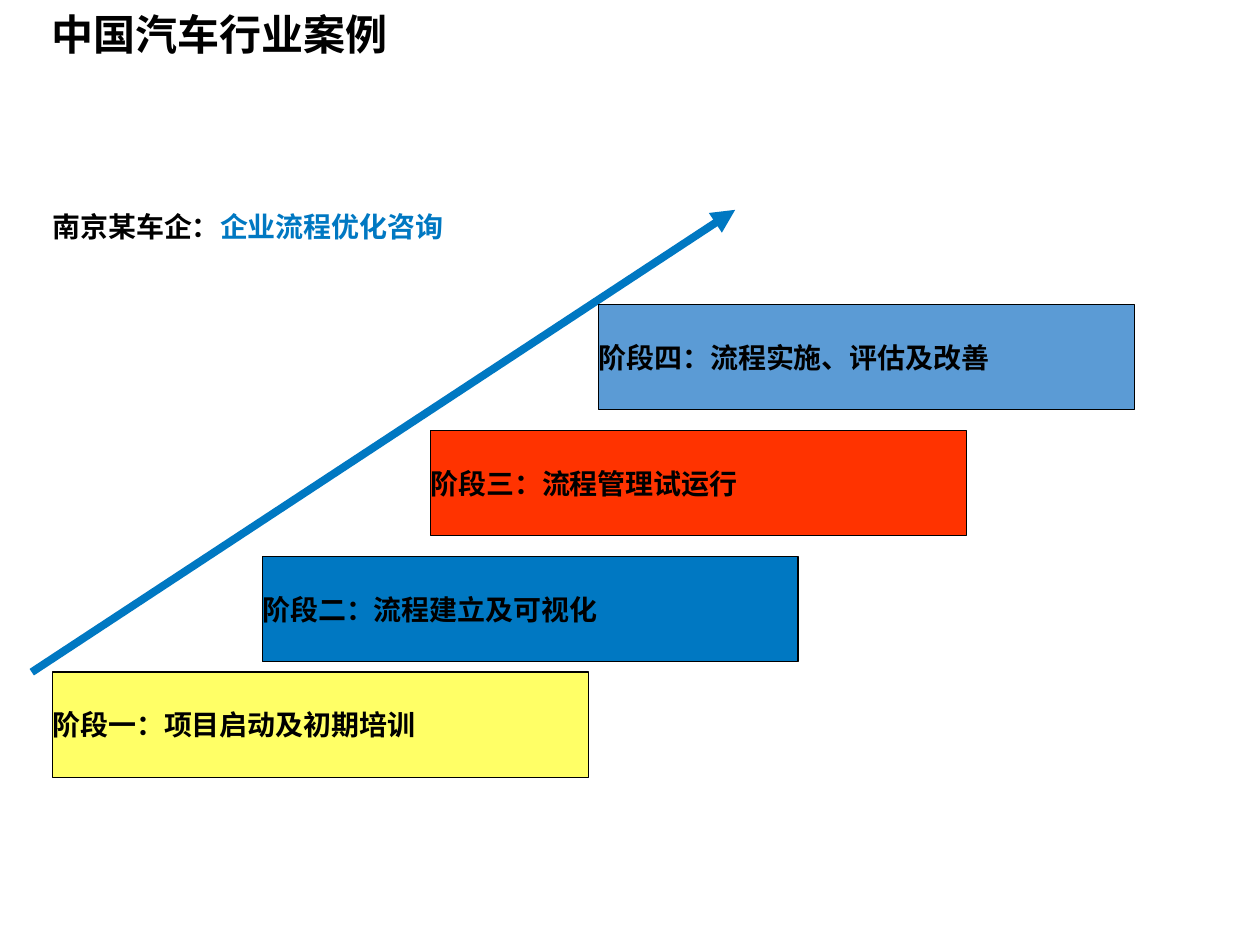
import pptx
import pptx.dml.color
import pptx.enum.shapes
import pptx.enum.text
import pptx.oxml.ns
import pptx.util
from lxml import etree

Cm = pptx.util.Cm
FONT = "Noto Sans CJK SC"
BLUE = "0078C2"
BLACK = "000000"


def rgb(value):
    return pptx.dml.color.RGBColor.from_string(value)


def add_run(p, text, size, color=BLACK):
    """Add a bold run, with the font set for Latin and East Asian text."""
    r = p.add_run()
    r.text = text
    r.font.size = pptx.util.Pt(size)
    r.font.bold = True
    r.font.color.rgb = rgb(color)
    r.font.name = FONT
    ea = etree.SubElement(r.font._element, pptx.oxml.ns.qn("a:ea"))
    ea.set("typeface", FONT)


prs = pptx.Presentation()
prs.slide_width = Cm(25.4)
prs.slide_height = Cm(19.05)
s = prs.slides.add_slide(prs.slide_layouts[6])

# Subject line
tb = s.shapes.add_textbox(Cm(1.06), Cm(4.23), Cm(9.53), Cm(0.69))
tf = tb.text_frame
tf.word_wrap = True
tf.auto_size = pptx.enum.text.MSO_AUTO_SIZE.SHAPE_TO_FIT_TEXT
tf.margin_left = tf.margin_right = tf.margin_top = tf.margin_bottom = 0
add_run(tf.paragraphs[0], "南京某车企：", 16)
add_run(tf.paragraphs[0], "企业流程优化咨询", 16, BLUE)

# Rising arrow
arrow = s.shapes.add_connector(pptx.enum.shapes.MSO_CONNECTOR.STRAIGHT,
                               Cm(0.64), Cm(13.55), Cm(14.82), Cm(4.23))
arrow.line.color.rgb = rgb(BLUE)
arrow.line.width = pptx.util.Pt(4.5)
tail = etree.SubElement(arrow.line._get_or_add_ln(), pptx.oxml.ns.qn("a:tailEnd"))
tail.set("type", "triangle")
etree.SubElement(arrow._element.spPr, pptx.oxml.ns.qn("a:effectLst"))

# Stages: the first stands apart, the others climb in equal steps
STEP_X, STEP_Y = 3.39, 2.54
stages = [("阶段一：项目启动及初期培训", "FFFF66", 1.06, 13.55)]
upper_stages = [
    ("阶段二：流程建立及可视化", BLUE),
    ("阶段三：流程管理试运行", "FF3300"),
    ("阶段四：流程实施、评估及改善", "5B9BD5"),
]
for i, (text, fill) in enumerate(upper_stages):
    stages.append((text, fill, 5.29 + i * STEP_X, 11.22 - i * STEP_Y))

for text, fill, left, top in stages:
    sp = s.shapes.add_shape(pptx.enum.shapes.MSO_SHAPE.RECTANGLE,
                            Cm(left), Cm(top), Cm(10.8), Cm(2.12))
    sp.shadow.inherit = False
    sp.fill.solid()
    sp.fill.fore_color.rgb = rgb(fill)
    sp.line.color.rgb = rgb(BLACK)
    sp.line.width = pptx.util.Pt(0.75)
    tf = sp.text_frame
    tf.word_wrap = False
    tf.margin_left = tf.margin_right = tf.margin_top = tf.margin_bottom = 0
    tf.vertical_anchor = pptx.enum.text.MSO_ANCHOR.MIDDLE
    p = tf.paragraphs[0]
    p.alignment = pptx.enum.text.PP_ALIGN.LEFT
    add_run(p, text, 16)

# Title
tb = s.shapes.add_textbox(Cm(0.79), Cm(0.05), Cm(15.21), Cm(1.27))
tf = tb.text_frame
tf.word_wrap = True
tf.vertical_anchor = pptx.enum.text.MSO_ANCHOR.MIDDLE
add_run(tf.paragraphs[0], "中国汽车行业案例", 24)

prs.save("out.pptx")
